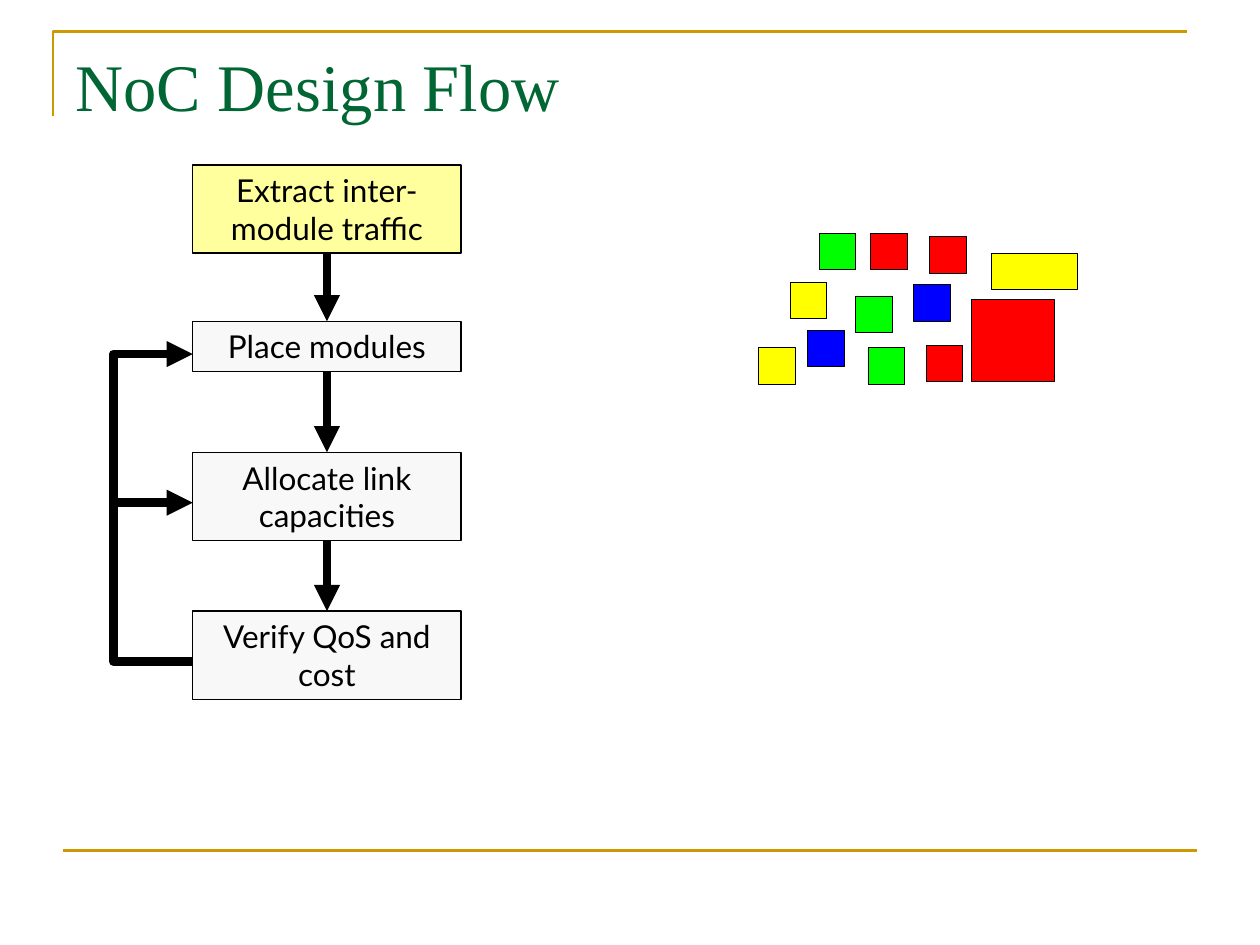
import lxml.etree
import pptx
import pptx.dml.color
import pptx.enum.shapes
import pptx.enum.text
import pptx.oxml.ns
import pptx.util

COLORS = {
    "rule": "CC9900", "title": "006633", "ink": "000000",
    "active": "FFFF9D", "step": "F8F8F8",
    "yellow": "FFFF00", "green": "00FF00", "blue": "0000FF", "red": "FF0000",
}
CELL = pptx.util.Inches(0.1)  # the slide is a grid of 100 columns by 75 rows
COLUMNS, ROWS = 100, 75
TOP, LEFT, BOTTOM = 0, 1, 2  # rectangle connection sites
RECTANGLE = pptx.enum.shapes.MSO_SHAPE.RECTANGLE
ALIGN = pptx.enum.text.PP_ALIGN
ANCHOR = pptx.enum.text.MSO_ANCHOR
AUTO_SIZE = pptx.enum.text.MSO_AUTO_SIZE

# Row offset, height in rows, text
STEPS = [
    (0, 7, "Extract inter-module traffic"),
    (12.4, 4, "Place modules"),
    (22.8, 7, "Allocate link capacities"),
    (35.4, 7, "Verify QoS and cost"),
]
# Column and row offset, columns and rows covered, color
SMALL = (2.9, 2.9)
MODULES = [
    (18.5, 1.6, 6.8, 2.9, "yellow"),
    (4.8, 0, *SMALL, "green"),
    (12.3, 4.1, *SMALL, "blue"),
    (13.6, 0.3, *SMALL, "red"),
    (7.7, 5, *SMALL, "green"),
    (13.3, 8.9, *SMALL, "red"),
    (2.5, 3.9, *SMALL, "yellow"),
    (0, 9.1, *SMALL, "yellow"),
    (16.9, 5.3, 6.6, 6.5, "red"),
    (3.9, 7.7, *SMALL, "blue"),
    (8.7, 9.1, *SMALL, "green"),
    (8.9, 0, *SMALL, "red"),
]


def grid(*cells):
    return [round(cell * CELL) for cell in cells]


def rgb(name):
    return pptx.dml.color.RGBColor.from_string(COLORS[name])


def set_line(shape, color, width, arrow=False):
    shape.line.color.rgb = rgb(color)
    shape.line.width = pptx.util.Pt(width)
    if arrow:
        line = shape._element.spPr.find(pptx.oxml.ns.qn("a:ln"))
        lxml.etree.SubElement(line, pptx.oxml.ns.qn("a:tailEnd"), type="triangle")


def write_text(shape, text, font="Lato", size=18, color="ink",
               align=ALIGN.CENTER, anchor=ANCHOR.TOP, auto_size=AUTO_SIZE.NONE):
    frame = shape.text_frame
    frame.word_wrap = True
    frame.auto_size = auto_size
    frame.vertical_anchor = anchor
    paragraph = frame.paragraphs[0]
    paragraph.alignment = align
    run = paragraph.add_run()
    run.text = text
    run.font.name = font
    run.font.size = pptx.util.Pt(size)
    run.font.color.rgb = rgb(color)


def add_rectangle(shapes, left, top, width, height, fill, line_width):
    shape = shapes.add_shape(RECTANGLE, *grid(left, top, width, height))
    shape.shadow.inherit = False
    shape.fill.solid()
    shape.fill.fore_color.rgb = rgb(fill)
    set_line(shape, "ink", line_width)
    return shape


def add_connector(shapes, start=(0, 0), end=(0, 0)):
    connector = shapes.add_connector(
        pptx.enum.shapes.MSO_CONNECTOR.STRAIGHT, *grid(*start, *end))
    lxml.etree.SubElement(connector._element.spPr, pptx.oxml.ns.qn("a:effectLst"))
    # The line element is created in its schema position, before the effects.
    return connector


def add_path(shapes, points, color, width, arrow=False):
    """Draw an open, unfilled outline through points given in grid cells."""
    start, *rest = [grid(*point) for point in points]
    builder = shapes.build_freeform(*start)
    builder.add_line_segments(rest, close=False)
    shape = builder.convert_to_shape()
    shape.shadow.inherit = False
    shape.fill.background()
    set_line(shape, color, width, arrow)


def add_frame(shapes, left, top, width, height):
    """Draw the corner rule at the top left and the rule along the bottom."""
    rule_width = width - 0.8
    add_path(shapes, [(left, top + 6.7), (left, top), (left + rule_width, top)],
             "rule", 1.5)
    bottom = top + height
    footer = add_connector(shapes, (left + 0.8, bottom), (left + width, bottom))
    set_line(footer, "rule", 1.5)


def place_title(title, left, top, width, height):
    title.left, title.top, title.width, title.height = grid(left, top, width, height)
    write_text(title, "NoC Design Flow", font="Times New Roman", size=38,
               color="title", align=ALIGN.LEFT, anchor=ANCHOR.BOTTOM)


def add_flow(shapes, left, top, width):
    """Stack the steps and loop back from the last to the second and third."""
    loop_width = 6.3
    boxes = []
    for row, height, text in STEPS:
        box = add_rectangle(shapes, left + loop_width, top + row, width - loop_width,
                            height, "step" if boxes else "active", 0.75)
        write_text(box, text, auto_size=AUTO_SIZE.SHAPE_TO_FIT_TEXT)
        boxes.append(box)

    for upper, lower in zip(boxes, boxes[1:]):
        arrow = add_connector(shapes)
        arrow.begin_connect(upper, BOTTOM)
        arrow.end_connect(lower, TOP)
        set_line(arrow, "ink", 5, arrow=True)

    inner = left + loop_width
    place, allocate, verify = top + 15, top + 26.8, top + 39.4
    add_path(shapes, [(inner, verify), (left, verify), (left, allocate),
                      (inner, allocate)], "ink", 5, arrow=True)
    add_path(shapes, [(left, allocate), (left, place), (inner, place)],
             "ink", 5, arrow=True)


def add_modules(shapes, left, top):
    group = shapes.add_group_shape()
    for column, row, width, height, color in MODULES:
        add_rectangle(group.shapes, left + column, top + row, width, height, color, 0.5)


def main():
    presentation = pptx.Presentation()
    presentation.slide_width, presentation.slide_height = grid(COLUMNS, ROWS)
    slide = presentation.slides.add_slide(presentation.slide_layouts[5])
    add_frame(slide.shapes, 4.2, 2.5, 90.8, 65)
    place_title(slide.shapes.title, 5, 3, 90, 7.4)
    add_flow(slide.shapes, 9, 13.1, 27.6)
    add_modules(slide.shapes, 60.2, 18.5)
    presentation.save("out.pptx")


if __name__ == "__main__":
    main()
